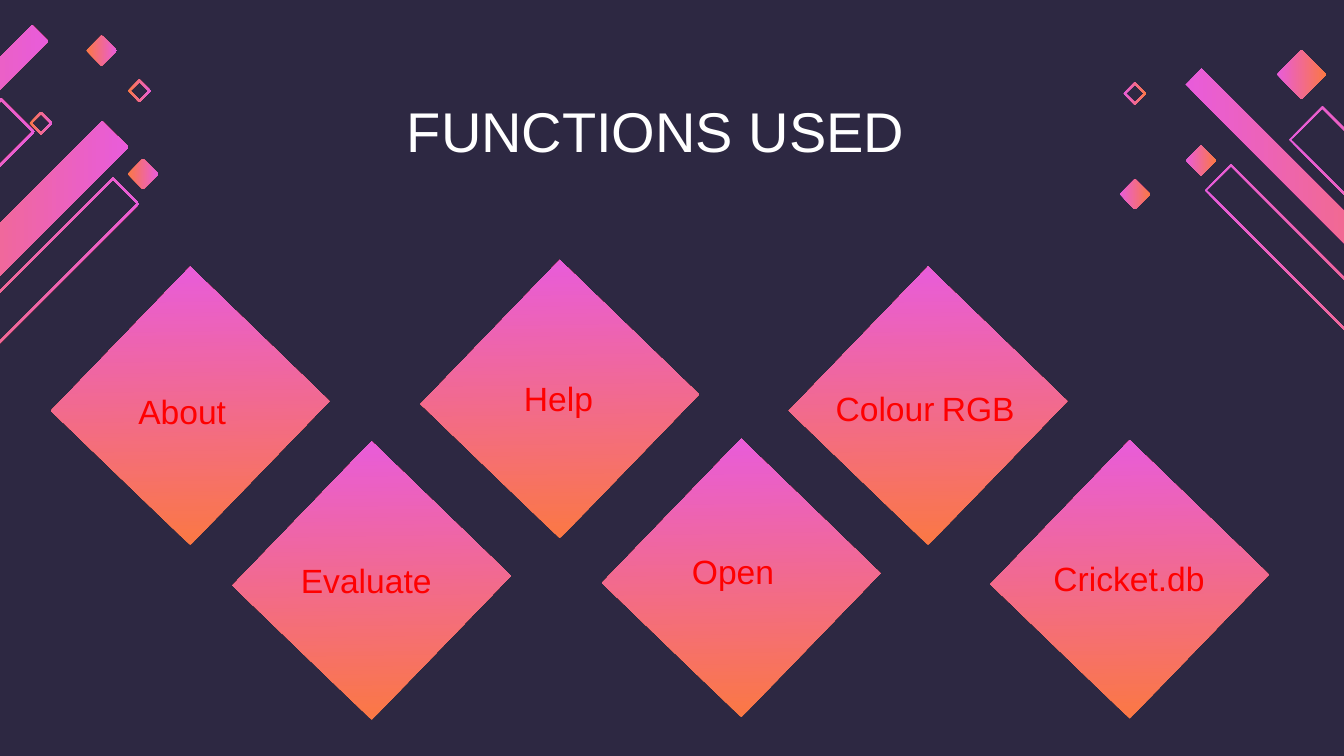
"""Build the slide that lists the functions used as a zigzag of diamond cards."""
from pptx import Presentation
from pptx.dml.color import RGBColor
from pptx.enum.shapes import MSO_SHAPE
from pptx.enum.text import MSO_ANCHOR, PP_ALIGN
from pptx.util import Pt

RECT = MSO_SHAPE.RECTANGLE
MIDDLE, TOP = MSO_ANCHOR.MIDDLE, MSO_ANCHOR.TOP
CENTER, LEFT = PP_ALIGN.CENTER, PP_ALIGN.LEFT

COLORS = {
    "back": "2D2842",
    "pink": "E85CDB",
    "orange": "FB7843",
    "title": "FFFFFF",
    "label": "FF0000",
    "space": "000000",
}

RIGHT_BARS = [
    (708.5, 56.9, 18, 140.4, True),
    (643.7, 36.7, 8.6, 169.2, False),
    (659.5, 87.8, 14.2, 160.6, True),
    (643.4, 77.8, 8.2, 8.2, False),
    (608, 43.9, 6.2, 6.2, True),
    (697.3, 26.6, 13.3, 13.3, False),
    (608, 95.8, 8.2, 8.2, False),
]
LEFT_BARS = [
    (54.7, 64.8, 14.2, 149.3, False),
    (17.3, 13.5, 8.6, 169.2, False),
    (60.5, 95, 14.2, 160.6, True),
    (76.6, 85, 8.2, 8.2, False),
    (74.7, 42.5, 6.2, 6.2, True),
    (54.4, 18.9, 8.2, 8.2, False),
    (0.7, 52.6, 18, 140.4, True),
    (22, 59.8, 6.2, 6.2, True),
]
CARDS = [
    ("About", 48.2, 165.6, 67, 205.9, 98),
    ("Evaluate", 145.4, 259.2, 154.1, 296.6, 98),
    ("Help", 246.2, 162, 273.6, 198.7, 98),
    ("Open", 343.4, 257.8, 363.6, 291.6, 98),
    ("Colour RGB", 443.5, 165.6, 440.6, 204.5, 112.3),
    ("Cricket.db", 551.5, 258.5, 557.3, 295.2, 95.8),
]


class Deck:
    """Hold the style and the current slide."""

    font = "Arial"
    rim = 1.4

    def __init__(self, slide):
        self.slide = slide
        fill = slide.background.fill
        fill.solid()
        fill.fore_color.rgb = self.color("back")

    def color(self, name):
        """Return the named colour."""
        return RGBColor.from_string(COLORS[name])

    def blend(self, shape, names, angle):
        """Give a shape a two-colour gradient and no line."""
        shape.shadow.inherit = False
        shape.line.fill.background()
        shape.fill.gradient()
        shape.fill.gradient_angle = angle
        for stop, name in zip(shape.fill.gradient_stops, names):
            stop.color.rgb = self.color(name)

    def ring(self, x, y, wide, long, side):
        """Return the corners of a diagonal bar from its top corner."""
        spots = [
            (x, y),
            (x + side * long, y + long),
            (x + side * (long - wide), y + long + wide),
            (x - side * wide, y + wide),
        ]
        return [(Pt(a), Pt(b)) for a, b in spots]

    def bar(self, x, y, wide, long, hollow, side):
        """Draw a diagonal bar, solid or as a thin frame."""
        outer = self.ring(x, y, wide, long, side)
        pen = self.slide.shapes.build_freeform(*outer[0])
        pen.add_line_segments(outer[1:], close=True)
        if hollow:
            rim = self.rim
            inner = self.ring(x, y + rim, wide - rim, long - rim, side)[::-1]
            pen.move_to(*inner[0])
            pen.add_line_segments(inner[1:], close=True)
        names = ("pink", "orange")[::side]
        self.blend(pen.convert_to_shape(), names, 0)

    def card(self, x, y):
        """Draw a square turned on its corner."""
        box = map(Pt, (x, y, 107.3, 103.7))
        shape = self.slide.shapes.add_shape(RECT, *box)
        shape.rotation = 134
        self.blend(shape, ("orange", "pink"), 225)

    def text(self, box, parts, align=LEFT, anchor=TOP, pitch=1.0):
        """Write one line of text from parts of (words, size, colour)."""
        frame = self.slide.shapes.add_textbox(*map(Pt, box)).text_frame
        frame.word_wrap = True
        frame.vertical_anchor = anchor
        line = frame.paragraphs[0]
        line.alignment = align
        line.line_spacing = pitch
        for words, size, name in parts:
            run = line.add_run()
            run.text = words
            run.font.name = self.font
            run.font.size = Pt(size)
            run.font.color.rgb = self.color(name)

    def label(self, words, x, y, width):
        """Write a card label with a narrow gap between words."""
        parts = [
            (part, 14, "space") if part == " " else (part, 18, "label")
            for part in words.partition(" ") if part
        ]
        self.text((x, y, width, 28.8), parts)


def main():
    """Build and save the slide."""
    show = Presentation()
    show.slide_width, show.slide_height = Pt(720), Pt(405)
    deck = Deck(show.slides.add_slide(show.slide_layouts[6]))
    for side, bars in ((1, RIGHT_BARS), (-1, LEFT_BARS)):
        for bar in bars:
            deck.bar(*bar, side)
    title = [("FUNCTIONS USED", 30, "title")]
    deck.text((159.1, 42.5, 384.5, 59), title, CENTER, MIDDLE, 0.9)
    for _, x, y, *_ in CARDS:
        deck.card(x, y)
    for words, _, _, x, y, width in CARDS:
        deck.label(words, x, y, width)
    show.save("out.pptx")


if __name__ == "__main__":
    main()
